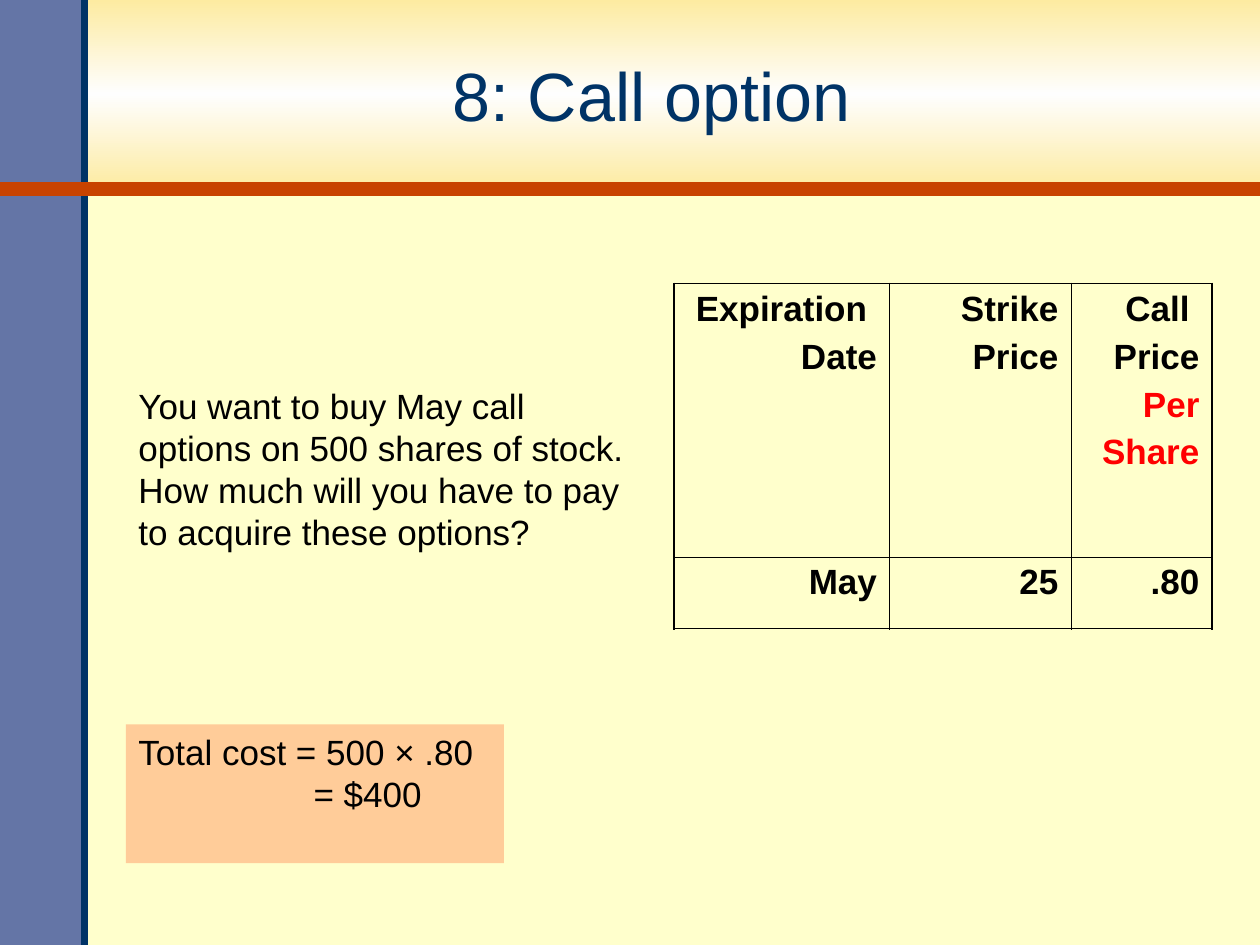
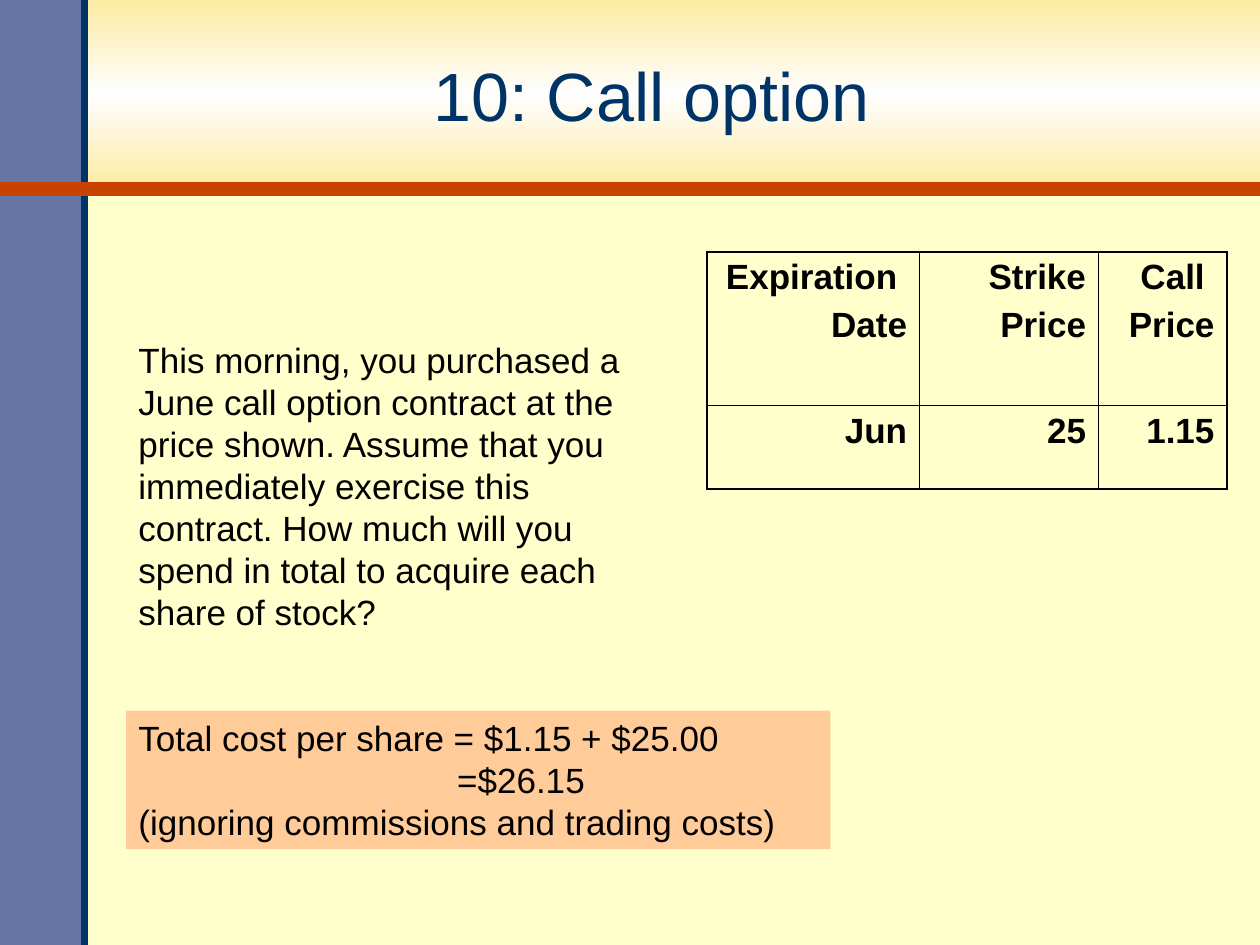
import copy

import pptx
import pptx.dml.color
import pptx.enum.shapes
import pptx.enum.text
import pptx.oxml
import pptx.oxml.ns
import pptx.util

Inches = pptx.util.Inches
Pt = pptx.util.Pt
ALIGN = pptx.enum.text.PP_ALIGN
ANCHOR = pptx.enum.text.MSO_ANCHOR

# Shared look
FONT = "Arial"
CREAM, PEACH, BLACK, RED = "FFFFCC", "FFCC99", "000000", "FF0000"
NAVY, SLATE, RUST = "003366", "6475A6", "C84300"
GLOW = [(0, "FDEBA1"), (0.5, "FEFEFE"), (1, "FDEBA1")]
WIDE, HIGH, BAND, SIDE = 10, 7.5, 1.5, 0.67
THICK, THIN = 1.08, 0.45


def color(code):
    return pptx.dml.color.RGBColor.from_string(code)


def add_run(para, text, size=20, ink=BLACK, bold=False):
    run = para.add_run()
    run.text = text
    run.font.name = FONT
    run.font.size = Pt(size)
    run.font.bold = bold
    run.font.color.rgb = color(ink)


def next_para(frame, index):
    return frame.paragraphs[0] if index == 0 else frame.add_paragraph()


def add_box(slide, left, top, width, height, fill=None):
    box = slide.shapes.add_shape(
        pptx.enum.shapes.MSO_SHAPE.RECTANGLE,
        Inches(left), Inches(top), Inches(width), Inches(height))
    box.shadow.inherit = False
    box.line.fill.background()
    if fill:
        box.fill.solid()
        box.fill.fore_color.rgb = color(fill)
    return box


def add_text(slide, left, top, width, height):
    box = slide.shapes.add_textbox(
        Inches(left), Inches(top), Inches(width), Inches(height))
    box.text_frame.word_wrap = True
    return box.text_frame


def add_rule(slide, start, end, ink, weight):
    rule = slide.shapes.add_connector(
        pptx.enum.shapes.MSO_CONNECTOR.STRAIGHT,
        *[Inches(value) for value in start + end])
    rule.line.color.rgb = color(ink)
    rule.line.width = Pt(weight)
    props = rule.element.find(pptx.oxml.ns.qn("p:spPr"))
    pptx.oxml.ns.qn("a:effectLst")
    props.append(props.makeelement(pptx.oxml.ns.qn("a:effectLst"), {}))


def add_glow(box):
    box.fill.gradient()
    box.fill.gradient_angle = 90
    stops = box.element.find(".//" + pptx.oxml.ns.qn("a:gsLst"))
    stops.append(copy.deepcopy(stops[-1]))
    for stop, (place, code) in zip(box.fill.gradient_stops, GLOW):
        stop.position = place
        stop.color.rgb = color(code)


def add_frame(deck, title):
    """Blank slide with the bands, the rules and the title."""
    slide = deck.slides.add_slide(deck.slide_layouts[6])
    slide.background.fill.solid()
    slide.background.fill.fore_color.rgb = color(CREAM)
    add_glow(add_box(slide, 0, 0, WIDE, BAND))
    add_box(slide, 0, 0, SIDE, HIGH, SLATE)
    add_rule(slide, (SIDE, HIGH), (SIDE, 0), NAVY, 4)
    add_rule(slide, (0, BAND), (WIDE, BAND), RUST, 8)

    frame = add_text(slide, 0.65, 0.15, 9.04, 1.2)
    frame.vertical_anchor = ANCHOR.MIDDLE
    frame.paragraphs[0].alignment = ALIGN.CENTER
    add_run(frame.paragraphs[0], title, 39, NAVY)
    return slide


def add_prompt(slide, top, width, height, text):
    frame = add_text(slide, 1, top, width, height)
    add_run(frame.paragraphs[0], text)


def add_answer(slide, top, width, lines):
    """Peach box; each line is its text and its left indent."""
    frame = add_box(slide, 1, top, width, 1.1, PEACH).text_frame
    frame.word_wrap = True
    frame.vertical_anchor = ANCHOR.TOP
    for index, (text, indent) in enumerate(lines):
        para = next_para(frame, index)
        para.alignment = ALIGN.LEFT
        if indent:
            para._p.get_or_add_pPr().set("marL", str(Inches(indent)))
        add_run(para, text)


def add_edge(cell, side, weight):
    cell._tc.get_or_add_tcPr().append(pptx.oxml.parse_xml(
        f'<a:ln{side} {pptx.oxml.ns.nsdecls("a")} w="{Pt(weight)}">'
        f'<a:solidFill><a:srgbClr val="{BLACK}"/></a:solidFill></a:ln{side}>'))


def add_prices(slide, left, top, cols, rows, cells):
    """Price table; each cell is a list of (text, colour) lines."""
    table = slide.shapes.add_table(
        len(rows), len(cols), Inches(left), Inches(top),
        Inches(sum(cols)), Inches(sum(rows))).table
    table.first_row = table.horz_banding = False
    for col, width in zip(table.columns, cols):
        col.width = Inches(width)
    for row, height in zip(table.rows, rows):
        row.height = Inches(height)
    for y, row in enumerate(cells):
        for x, lines in enumerate(row):
            cell = table.cell(y, x)
            outer = {"L": x == 0, "R": x == len(cols) - 1,
                     "T": y == 0, "B": y == len(rows) - 1}
            for side, edge in outer.items():
                add_edge(cell, side, THICK if edge else THIN)
            cell.fill.background()
            for index, (text, ink) in enumerate(lines):
                para = next_para(cell.text_frame, index)
                para.alignment = ALIGN.RIGHT
                para.space_before = Pt(5)
                add_run(para, text, ink=ink, bold=True)


def in_black(*lines):
    return [(line, BLACK) for line in lines]


def main():
    deck = pptx.Presentation()
    deck.slide_width, deck.slide_height = Inches(WIDE), Inches(HIGH)
    heads = [in_black("Expiration ", "Date"), in_black("Strike", "Price"),
             in_black("Call ", "Price")]

    # Cost of 500 May calls
    slide = add_frame(deck, "8: Call option")
    add_prompt(slide, 3, 4.08, 1.44,
               "You want to buy May call options on 500 shares of stock. "
               "How much will you have to pay to acquire these options?")
    per_share = [("Per", RED), ("Share", RED)]
    add_prices(slide, 5.35, 2.25, [1.71, 1.44, 1.12], [2.17, 0.57],
               [heads[:2] + [heads[2] + per_share],
                [in_black(text) for text in ("May", "25", ".80")]])
    add_answer(slide, 5.75, 3,
               [("Total cost = 500 × .80", 0), ("= $400", 1.39)])

    # Cost per share when a June call is exercised
    slide = add_frame(deck, "10: Call option")
    add_prompt(slide, 2.64, 4.25, 2.44,
               "This morning, you purchased a June call option contract at "
               "the price shown. Assume that you immediately exercise this "
               "contract. How much will you spend in total to acquire each "
               "share of stock?")
    add_prices(slide, 5.61, 2, [1.69, 1.42, 1.02], [1.22, 0.66],
               [heads, [in_black(text) for text in ("Jun", "25", "1.15")]])
    add_answer(slide, 5.64, 5.59,
               [("Total cost per share = $1.15 + $25.00", 0),
                ("=$26.15", 2.53),
                ("(ignoring commissions and trading costs)", 0)])

    deck.save("out.pptx")


if __name__ == "__main__":
    main()
